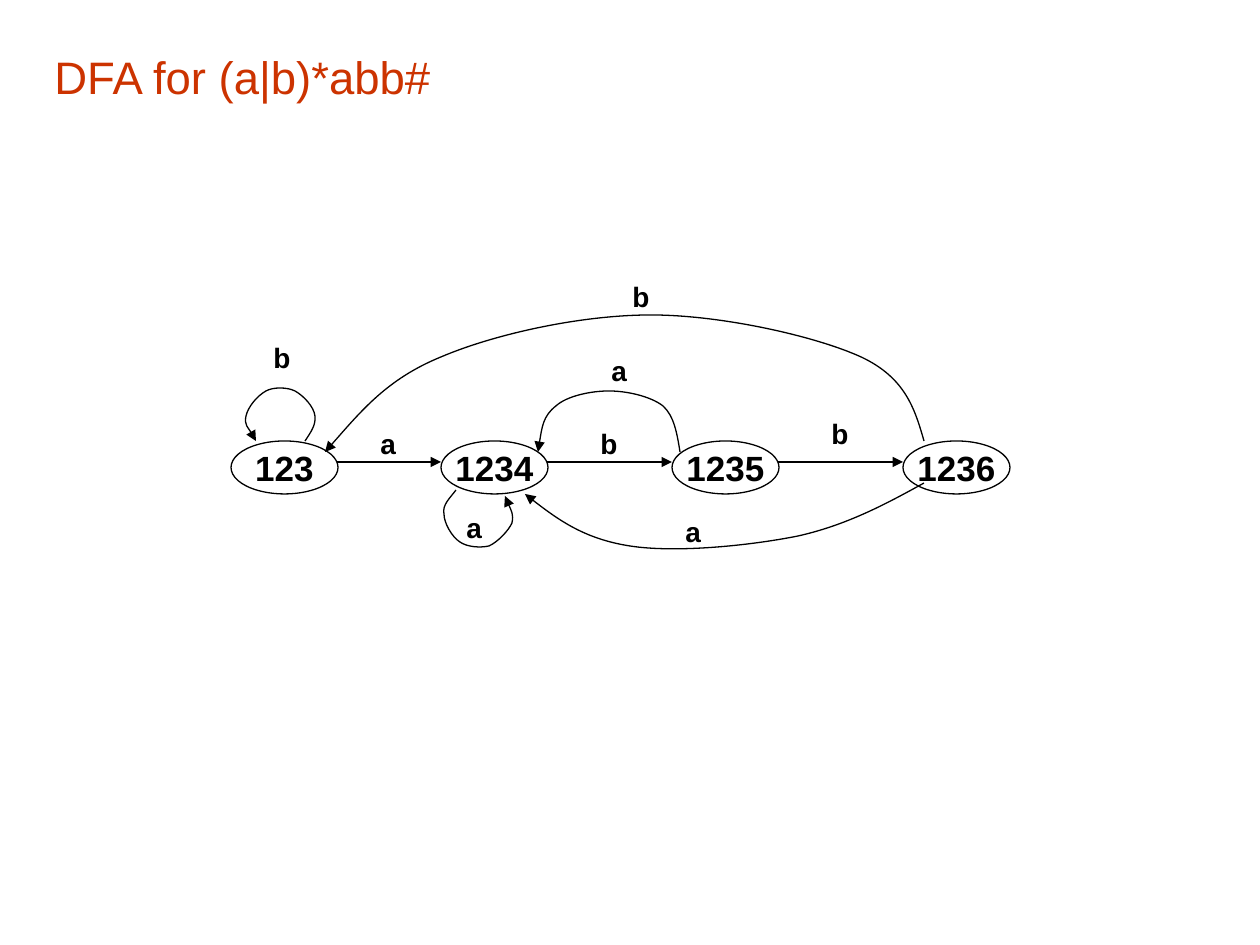
from lxml import etree
from pptx import Presentation
from pptx.dml.color import RGBColor
from pptx.enum.shapes import MSO_CONNECTOR, MSO_SHAPE
from pptx.enum.text import MSO_ANCHOR, PP_ALIGN
from pptx.oxml.ns import qn
from pptx.util import Pt

OVAL = MSO_SHAPE.OVAL
STRAIGHT = MSO_CONNECTOR.STRAIGHT
MIDDLE, TOP = MSO_ANCHOR.MIDDLE, MSO_ANCHOR.TOP
LEFT, CENTER = PP_ALIGN.LEFT, PP_ALIGN.CENTER

PX = 914400 / 126
FONT = "Arial"
COLORS = {"title": "CC3300", "ink": "000000"}

TITLE = "DFA for (a|b)*abb#"
STATES = [("123", 231), ("1234", 441), ("1235", 672), ("1236", 903)]
STATE_Y, STATE_W, STATE_H = 441, 107, 53
EDGE_Y = 462
LABEL_W, LABEL_H = 41, 46
LABELS = [
    ("b", 261, 334), ("b", 620, 273), ("b", 819, 410), ("b", 588, 420),
    ("a", 368, 420), ("a", 599, 347), ("a", 673, 508), ("a", 454, 504),
]
CURVES = {
    "123 to 123": [
        (305, 441), (311, 432), (316, 425), (315, 416), (314, 407), (304, 396),
        (295, 391), (287, 387), (273, 387), (266, 391), (257, 396), (248, 407),
        (246, 416), (244, 425), (255, 437), (256, 441)],
    "1234 to 1234": [
        (456, 490), (450, 498), (442, 505), (444, 514), (444, 523), (452, 537),
        (460, 542), (467, 547), (480, 548), (489, 546), (498, 542), (509, 530),
        (512, 523), (514, 514), (507, 501), (505, 496)],
    "1235 to 1234": [
        (680, 452), (677, 433), (674, 416), (663, 406), (650, 396), (626, 391),
        (609, 391), (591, 391), (567, 396), (556, 406), (543, 416), (541, 433),
        (538, 452)],
    "1236 to 123": [
        (924, 441), (915, 410), (906, 378), (861, 357), (815, 336), (721, 315),
        (651, 315), (581, 315), (495, 334), (441, 357), (387, 379), (357, 416),
        (325, 452)],
    "1236 to 1234": [
        (924, 483), (886, 504), (847, 525), (798, 536), (748, 546), (675, 553),
        (630, 546), (585, 539), (554, 517), (525, 494)],
}


def px(*values):
    return [round(v * PX) for v in values]


def write(sp, text, size, color="ink", bold=True, align=LEFT, anchor=TOP, wrap=False):
    tf = sp.text_frame
    tf.word_wrap = wrap
    tf.vertical_anchor = anchor
    p = tf.paragraphs[0]
    p.alignment = align
    r = p.add_run()
    r.text = text
    r.font.name = FONT
    r.font.size = Pt(size)
    r.font.bold = bold
    r.font.color.rgb = RGBColor.from_string(COLORS[color])


def outline(sp, arrow=False):
    sp.line.color.rgb = RGBColor.from_string(COLORS["ink"])
    sp.line.width = Pt(0.75)
    if arrow:
        etree.SubElement(sp.line._get_or_add_ln(), qn("a:tailEnd"), type="triangle")


def add_curve(shapes, name, points):
    builder = shapes.build_freeform(*points[0], scale=PX)
    builder.add_line_segments(points[1:], close=False)
    sp = builder.convert_to_shape()
    sp.name = name
    sp.shadow.inherit = False
    sp.fill.background()
    outline(sp, arrow=True)
    path = next(sp._element.iter(qn("a:path")))
    steps = path.findall(qn("a:lnTo"))
    for i in range(0, len(steps), 3):
        bezier = etree.SubElement(path, qn("a:cubicBezTo"))
        for step in steps[i:i + 3]:
            bezier.append(step[0])
            path.remove(step)


def main():
    prs = Presentation()
    prs.slide_width, prs.slide_height = px(1260, 945)
    shapes = prs.slides.add_slide(prs.slide_layouts[6]).shapes

    sp = shapes.add_textbox(*px(42, 32, 1184, 88))
    write(sp, TITLE, 26, color="title", bold=False, anchor=MIDDLE, wrap=True)

    for text, x in STATES:
        sp = shapes.add_shape(OVAL, *px(x, STATE_Y, STATE_W, STATE_H))
        sp.shadow.inherit = False
        sp.fill.background()
        outline(sp)
        write(sp, text, 20, align=CENTER, anchor=MIDDLE)

    for (_, x1), (_, x2) in zip(STATES, STATES[1:]):
        line = shapes.add_connector(STRAIGHT, *px(x1 + STATE_W - 1, EDGE_Y, x2, EDGE_Y))
        outline(line, arrow=True)
        etree.SubElement(line._element.spPr, qn("a:effectLst"))

    for name, points in CURVES.items():
        add_curve(shapes, name, points)

    for text, x, y in LABELS:
        write(shapes.add_textbox(*px(x, y, LABEL_W, LABEL_H)), text, 16)

    prs.save("out.pptx")


if __name__ == "__main__":
    main()
